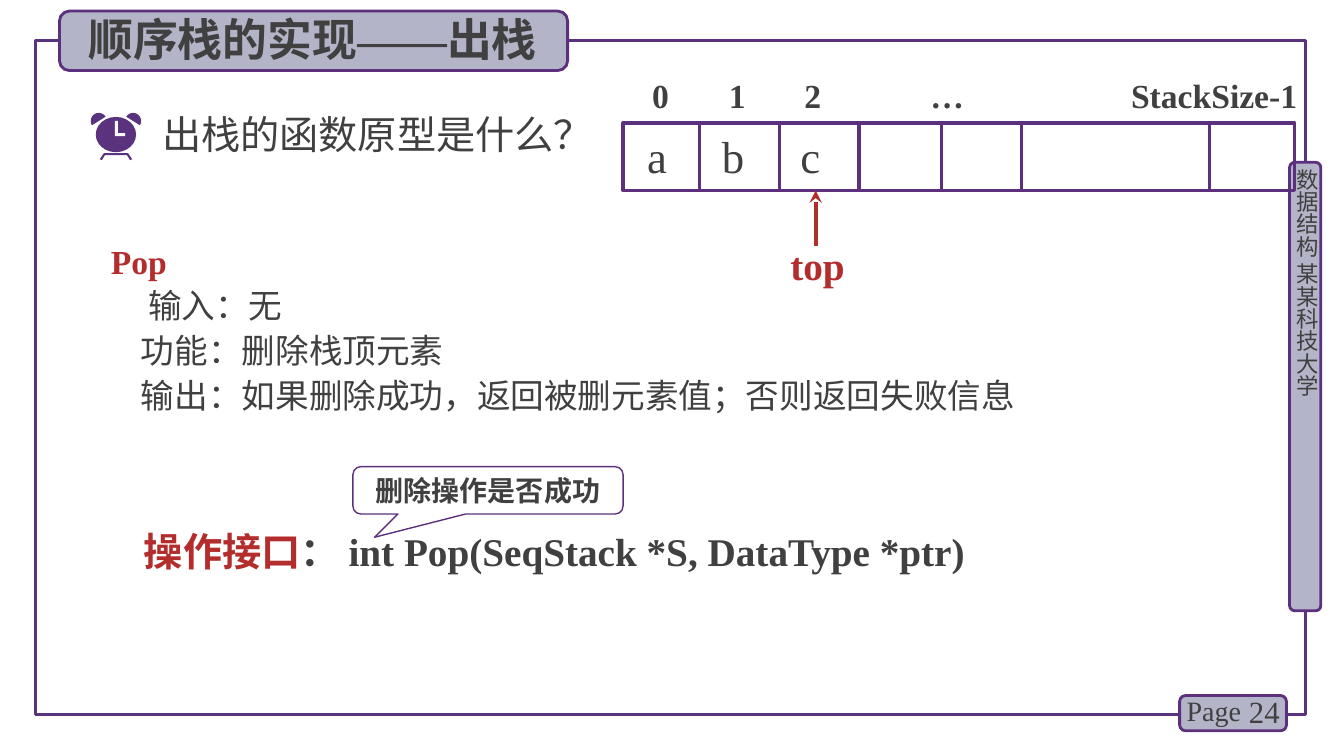
"""Build the slide on popping an element from a sequential stack."""
import math

import pptx
import pptx.dml.color
import pptx.enum.shapes
import pptx.enum.text
import pptx.oxml
import pptx.util
from pptx.util import Inches

KIND = pptx.enum.shapes.MSO_SHAPE
ALIGN = pptx.enum.text.PP_ALIGN
ANCHOR = pptx.enum.text.MSO_ANCHOR
FIT = pptx.enum.text.MSO_AUTO_SIZE
NS = 'xmlns:a="http://schemas.openxmlformats.org/drawingml/2006/main"'

PURPLE, CLOCK, LILAC = "5C307D", "5A327D", "B4B4C8"
DARK, RED, WHITE = "404040", "B42D2D", "FFFFFF"
SERIF, HAN = "Times New Roman", "Noto Sans CJK SC"

TITLE = [[("顺序栈的实现", {}), ("——", {"han": SERIF}), ("出栈", {})]]
PLATES = {
    "sidebar": (12.79, 1.61, 0.31, 4.45),
    "page": (11.7, 6.9, 1.06, 0.35),
    "title": (0.59, 0.11, 5.04, 0.59),
}
TEXTS = [
    ((12.2, 6.86, 0.59, 0.4), [[("24", {})]],
     {"size": 22, "align": ALIGN.RIGHT, "anchor": ANCHOR.MIDDLE, "fit": FIT.NONE}),
    ((11.67, 6.83, 0.78, 0.44), [[("Page", {})]], {"size": 20}),
    ((1.33, 5.18, 9, 0.57),
     [[("操作接口", {"color": RED}), ("： int Pop(SeqStack *S, DataType *ptr)", {})]],
     {"size": 28, "bold": True}),
    ((1.51, 1.05, 5.33, 0.57), [[("出栈的函数原型是什么？", {})]], {"size": 28}),
    ((1, 2.28, 11.22, 1.9),
     [[("Pop", {"color": RED, "bold": True})],
      [("输入：无", {})],
      [("功能：删除栈顶元素", {})],
      [("输出：如果删除成功，返回被删元素值；否则返回失败信息", {})]],
     {"size": 24, "anchor": ANCHOR.MIDDLE, "spacing": 32,
      "indents": (0, 0.37, 0.3, 0.3)}),
    ((6.13, 0.69, 6.86, 0.5), [[("\t0\t1\t2\t…\tStackSize-1", {})]],
     {"size": 24, "bold": True, "tabs": (0.24, 1, 1.75, 3, 4.99)}),
    ((6.32, 1.23, 3.81, 0.64), [[("a\tb\tc", {})]],
     {"size": 32, "tabs": (0.74, 1.52)}),
    ((7.74, 2.34, 0.79, 0.57), [[("top", {})]],
     {"size": 28, "bold": True, "color": RED}),
]
SIDEBAR = [[("数据结构 某某科技大学", {})]]
CALLOUT = [[("删除操作是否成功", {})]]
STACK = (6.18, 1.22, 6.66, 0.67)
DIVIDERS = (6.94, 7.73, 8.52, 9.34, 10.13, 12)
CLOCK_MIDDLE = 1.15
CLOCK_FEET = [(0.99, 1.58), (1.03, 1.52), (1.27, 1.52), (1.31, 1.58),
              (1.29, 1.59), (1.26, 1.54), (1.04, 1.54), (1.01, 1.59)]
CLOCK_HANDS = [(1.14, 1.2), (1.17, 1.2), (1.17, 1.32), (1.24, 1.32),
               (1.24, 1.35), (1.14, 1.35)]


def rgb(value):
    return pptx.dml.color.RGBColor.from_string(value)


def apply(target, values):
    for key, value in values.items():
        setattr(target, key, value)


def paint(shape, fill=None, line=None, width=2):
    shape.shadow.inherit = False
    if fill:
        shape.fill.solid()
        shape.fill.fore_color.rgb = rgb(fill)
    else:
        shape.fill.background()
    if line:
        shape.line.color.rgb = rgb(line)
        shape.line.width = pptx.util.Pt(width)
    else:
        shape.line.fill.background()
    return shape


def add_plate(slide, kind, box, **look):
    return paint(slide.shapes.add_shape(kind, *map(Inches, box)), **look)


def write(shape, paragraphs, size, bold=False, color=DARK, latin=SERIF,
          align=ALIGN.LEFT, anchor=ANCHOR.TOP, fit=FIT.SHAPE_TO_FIT_TEXT,
          spacing=None, indents=(), tabs=()):
    frame = shape.text_frame
    apply(frame, {"word_wrap": True, "auto_size": fit, "vertical_anchor": anchor})
    for index, runs in enumerate(paragraphs):
        paragraph = frame.add_paragraph() if index else frame.paragraphs[0]
        paragraph.alignment = align
        if spacing:
            paragraph.line_spacing = pptx.util.Pt(spacing)
        properties = paragraph._p.get_or_add_pPr()
        if indents:
            properties.set("marL", str(Inches(indents[index])))
        if tabs:
            stops = "".join(f'<a:tab pos="{Inches(stop)}" algn="l"/>' for stop in tabs)
            properties.append(pptx.oxml.parse_xml(f"<a:tabLst {NS}>{stops}</a:tabLst>"))
        for words, own in runs:
            run = paragraph.add_run()
            run.text = words
            apply(run.font, {"size": pptx.util.Pt(size), "name": latin,
                             "bold": own.get("bold", bold)})
            run.font.color.rgb = rgb(own.get("color", color))
            han = pptx.oxml.parse_xml(f'<a:ea {NS} typeface="{own.get("han", HAN)}"/>')
            run.font._element.find("{*}latin").addnext(han)


def add_text(slide, box, paragraphs, **look):
    area = slide.shapes.add_textbox(*map(Inches, box))
    write(area, paragraphs, **look)
    return area


def add_line(slide, start, end, color, width):
    line = slide.shapes.add_connector(
        pptx.enum.shapes.MSO_CONNECTOR.STRAIGHT, *map(Inches, start + end))
    line.line.color.rgb = rgb(color)
    line.line.width = pptx.util.Pt(width)
    line._element.spPr.append(pptx.oxml.parse_xml(f"<a:effectLst {NS}/>"))
    return line


def add_outline(slide, points, fill):
    corners = [(Inches(x), Inches(y)) for x, y in points]
    builder = slide.shapes.build_freeform(*corners[0], scale=1.0)
    builder.add_line_segments(corners[1:], close=True)
    paint(builder.convert_to_shape(), fill)


def add_clock(slide):
    angles = [math.radians(degree) for degree in range(148, 329, 15)]
    bell = [(0.98 + 0.08 * math.cos(a), 1.2 + 0.08 * math.sin(a)) for a in angles]
    add_outline(slide, CLOCK_FEET, CLOCK)
    add_outline(slide, bell, CLOCK)
    add_outline(slide, [(2 * CLOCK_MIDDLE - x, y) for x, y in bell], CLOCK)
    add_plate(slide, KIND.OVAL, (0.95, 1.16, 0.4, 0.35), fill=CLOCK)
    add_outline(slide, CLOCK_HANDS, WHITE)


def add_stack(slide):
    left, top, width, height = STACK
    add_plate(slide, KIND.RECTANGLE, STACK, line=PURPLE, width=2.25)
    for x in DIVIDERS:
        add_line(slide, (x, top), (x, top + height), PURPLE, 2.25)
    pointer = add_line(slide, (8.09, 2.44), (8.09, top + height), RED, 3)
    pointer.line._get_or_add_ln().append(
        pptx.oxml.parse_xml(f'<a:tailEnd {NS} type="stealth"/>'))


def main():
    deck = pptx.Presentation()
    apply(deck, {"slide_width": Inches(13.33), "slide_height": Inches(7.5)})
    slide = deck.slides.add_slide(deck.slide_layouts[5])

    add_plate(slide, KIND.RECTANGLE, (0.35, 0.4, 12.6, 6.69), line=CLOCK, width=2.25)
    for box in PLATES.values():
        add_plate(slide, KIND.ROUNDED_RECTANGLE, box, fill=LILAC, line=PURPLE)

    title = slide.shapes.title
    apply(title, dict(zip(("left", "top", "width", "height"),
                          map(Inches, (0.73, 0.07, 4.74, 0.64)))))
    write(title, TITLE, 32, bold=True, align=ALIGN.CENTER)
    slide.shapes._spTree.append(title._element)

    sidebar = add_text(slide, (12.83, 1.67, 0.27, 4.49), SIDEBAR, size=16)
    apply(sidebar.text_frame, dict.fromkeys(
        ("margin_left", "margin_top", "margin_right", "margin_bottom"), 0))
    sidebar.text_frame._txBody.bodyPr.set("vert", "eaVert")

    for box, paragraphs, look in TEXTS:
        add_text(slide, box, paragraphs, **look)

    callout = add_plate(slide, KIND.ROUNDED_RECTANGULAR_CALLOUT,
                        (3.5, 4.63, 2.68, 0.47), line=PURPLE, width=1)
    for index, value in enumerate((-0.42, 0.99, 0.17)):
        callout.adjustments[index] = value
    write(callout, CALLOUT, 20, bold=True, latin="Calibri", align=ALIGN.CENTER,
          anchor=ANCHOR.MIDDLE, fit=FIT.NONE)

    add_clock(slide)
    add_stack(slide)
    deck.save("out.pptx")


if __name__ == "__main__":
    main()
